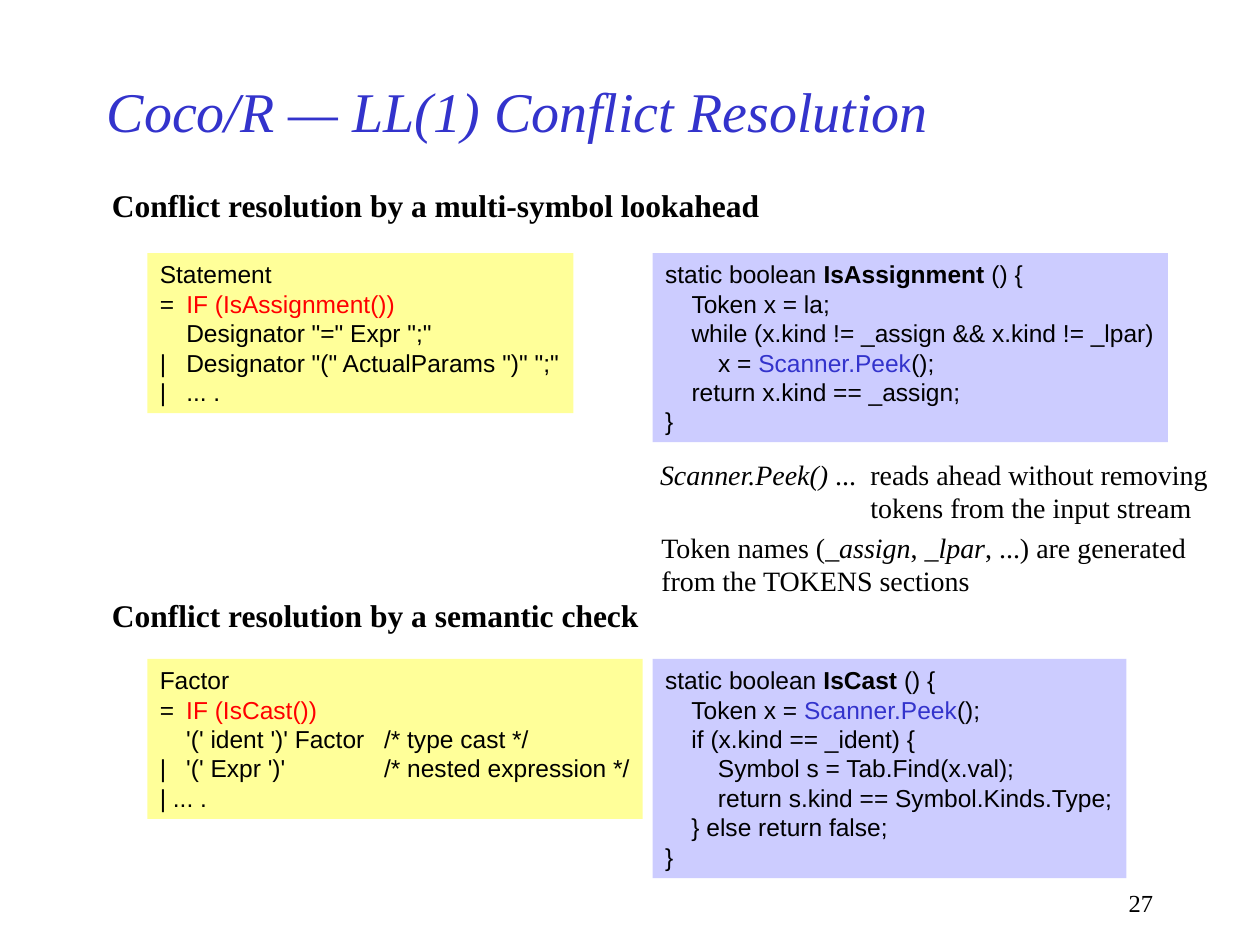
from dataclasses import dataclass

from lxml.etree import SubElement
from pptx import Presentation
from pptx.dml.color import RGBColor
from pptx.enum.text import MSO_ANCHOR as Anchor, MSO_AUTO_SIZE as AutoSize, PP_ALIGN as Align
from pptx.oxml.ns import qn
from pptx.util import Inches, Pt

SERIF, SANS = "Times New Roman", "Arial"
BLACK, RED, BLUE = "000000", "FF0000", "3333CC"
YELLOW, LILAC = "FFFF99", "CCCCFF"
LEFT_CODE, RIGHT_CODE = 1.17, 5.18
TOP_CODE, BOTTOM_CODE = 2.01, 5.23
INDENT, NOTE_TAB, COMMENT_TAB = 0.21, 1.67, 1.78


@dataclass(frozen=True)
class Span:
    text: str
    color: str = BLACK
    bold: bool = False
    italic: bool = False


@dataclass(frozen=True)
class Block:
    left: float
    top: float
    width: float
    height: float
    lines: tuple
    size: int
    font: str = SERIF
    fill: str = ""
    tabs: tuple = ()
    wrap: bool = False
    align: Align = Align.LEFT
    anchor: Anchor = Anchor.TOP


def rgb(value: str) -> RGBColor:
    return RGBColor.from_string(value)


def add_span(para, text: str, *, font: str, size: int, color: str, bold: bool, italic: bool) -> None:
    run = para.add_run()
    run.text = text
    run.font.name = font
    run.font.size = Pt(size)
    run.font.color.rgb = rgb(color)
    run.font.bold = bold
    run.font.italic = italic


def set_tabs(para, stops: tuple) -> None:
    tab_list = SubElement(para._p.get_or_add_pPr(), qn("a:tabLst"))
    for stop in stops:
        SubElement(tab_list, qn("a:tab"), pos=str(Inches(stop)), algn="l")


def draw_block(page, block: Block) -> None:
    box = page.shapes.add_textbox(
        Inches(block.left), Inches(block.top), Inches(block.width), Inches(block.height)
    )
    if block.fill:
        box.fill.solid()
        box.fill.fore_color.rgb = rgb(block.fill)
    frame = box.text_frame
    frame.word_wrap = block.wrap
    frame.auto_size = AutoSize.NONE if block.wrap else AutoSize.SHAPE_TO_FIT_TEXT
    frame.vertical_anchor = block.anchor
    for number, line in enumerate(block.lines):
        para = frame.add_paragraph() if number else frame.paragraphs[0]
        para.alignment = block.align
        if block.tabs:
            set_tabs(para, block.tabs)
        for span in (Span(line),) if isinstance(line, str) else line:
            add_span(para, span.text, font=block.font, size=block.size,
                     color=span.color, bold=span.bold, italic=span.italic)


def heading(top: float, width: float, text: str) -> Block:
    return Block(0.79, top, width, 0.4, ((Span(text, bold=True),),), 18)


def grammar(top: float, width: float, lines: tuple, *more_tabs: float) -> Block:
    return Block(LEFT_CODE, top, width, 1.27, lines, 14, SANS, YELLOW, (INDENT, *more_tabs))


def method(top: float, width: float, height: float, name: str, body: tuple) -> Block:
    opening = (Span("static boolean "), Span(f"{name} ", bold=True), Span("() {"))
    lines = (opening, *body, "}")
    return Block(RIGHT_CODE, top, width, height, lines, 14, SANS, LILAC, (INDENT, 2 * INDENT))


def condition(text: str) -> tuple:
    return Span("=\t"), Span(text, RED)


def peek(target: str) -> tuple:
    return Span(target), Span("Scanner.Peek", BLUE), Span("();")


BLOCKS = (
    Block(0.75, 0.5, 7.5, 0.75,
          ((Span("Coco/R — LL(1) Conflict Resolution", BLUE, italic=True),),),
          32, wrap=True, anchor=Anchor.MIDDLE),
    heading(1.43, 5.34, "Conflict resolution by a multi-symbol lookahead"),
    grammar(TOP_CODE, 3.38, (
        "Statement",
        condition("IF (IsAssignment())"),
        '\tDesignator "=" Expr ";"',
        '|\tDesignator "(" ActualParams ")" ";"',
        "|\t... .",
    )),
    method(TOP_CODE, 4.09, 1.5, "IsAssignment", (
        "\tToken x = la;",
        "\twhile (x.kind != _assign && x.kind != _lpar)",
        peek("\t\tx = "),
        "\treturn x.kind == _assign;",
    )),
    Block(5.14, 3.58, 4.56, 0.64, (
        (Span("Scanner.Peek()", italic=True), Span(" ...\treads ahead without removing")),
        "\ttokens from the input stream",
    ), 16, tabs=(NOTE_TAB,)),
    heading(4.68, 4.38, "Conflict resolution by a semantic check"),
    grammar(BOTTOM_CODE, 3.93, (
        "Factor",
        condition("IF (IsCast())"),
        "\t'(' ident ')' Factor\t/* type cast */",
        "|\t'(' Expr ')'\t/* nested expression */",
        "| ... .",
    ), COMMENT_TAB),
    method(BOTTOM_CODE, 3.76, 1.74, "IsCast", (
        peek("\tToken x = "),
        "\tif (x.kind == _ident) {",
        "\t\tSymbol s = Tab.Find(x.val);",
        "\t\treturn s.kind == Symbol.Kinds.Type;",
        "\t} else return false;",
    )),
    Block(5.15, 4.16, 4.43, 0.64, (
        (Span("Token names ("), Span("_assign", italic=True), Span(", "),
         Span("_lpar", italic=True), Span(", ...) are generated")),
        "from the TOKENS sections",
    ), 16),
    Block(7.17, 7, 2.08, 0.33, ("27",), 14, wrap=True, align=Align.RIGHT),
)


def main() -> None:
    """Build the slide on conflict resolution and save the deck."""
    deck = Presentation()
    deck.slide_width, deck.slide_height = Inches(10), Inches(7.5)
    page = deck.slides.add_slide(deck.slide_layouts[6])
    for block in BLOCKS:
        draw_block(page, block)
    deck.save("out.pptx")


if __name__ == "__main__":
    main()
